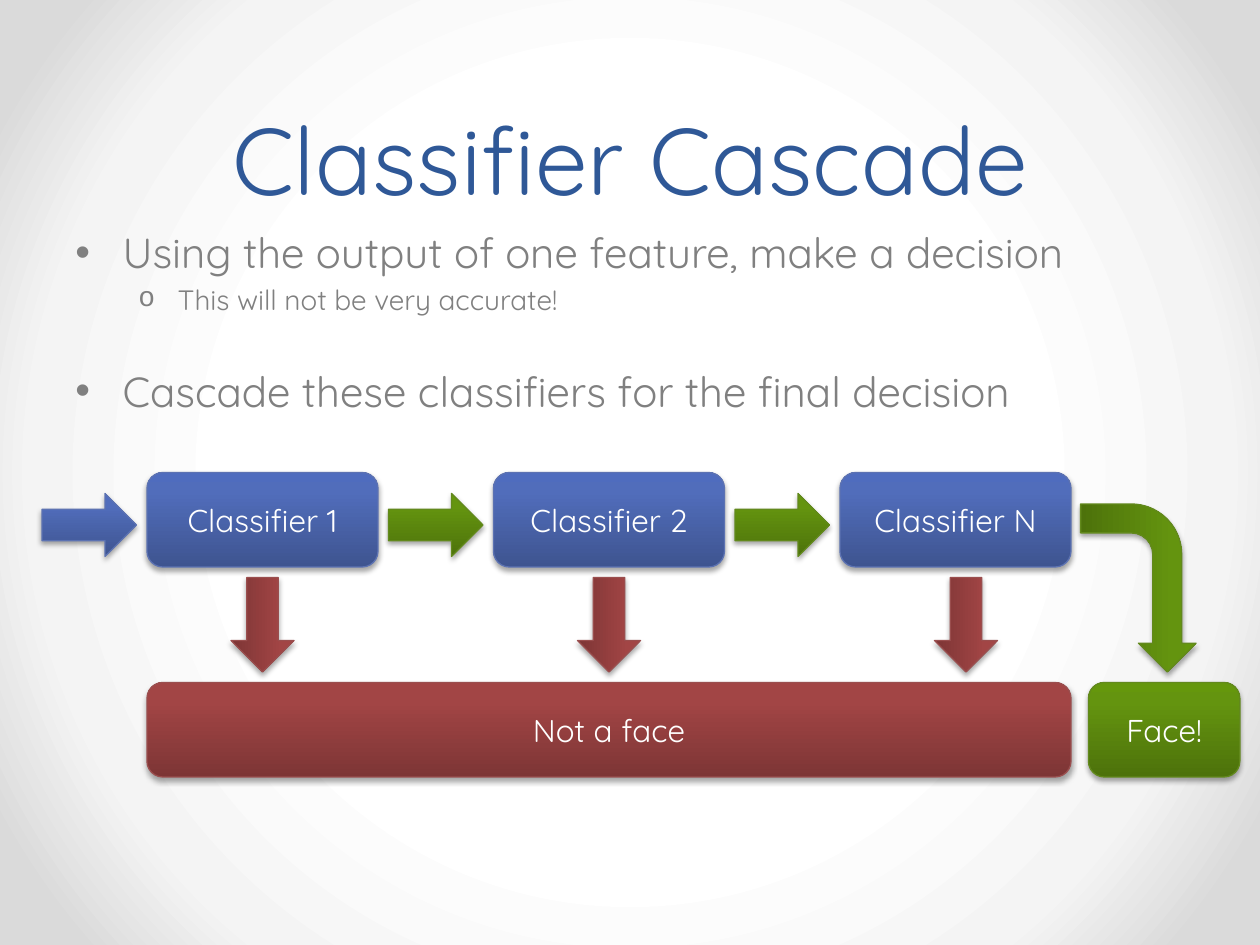
from dataclasses import dataclass

from lxml.etree import _Element, SubElement
from pptx import Presentation
from pptx.dml.color import RGBColor
from pptx.enum.shapes import MSO_SHAPE
from pptx.enum.text import MSO_ANCHOR, MSO_AUTO_SIZE, PP_ALIGN
from pptx.oxml import parse_xml
from pptx.oxml.ns import nsdecls, qn
from pptx.slide import Slide
from pptx.text.text import _Paragraph
from pptx.util import Pt

FONT = "Quicksand"
COLORS = {"title": "2F5897", "body": "808080", "label": "FFFFFF", "shadow": "000000"}
LINES = {"blue": "5C72B2", "green": "62891C", "red": "9A4E4E"}
GRADIENTS = {
    "blue": {0: "3E5490", 80: "516DBB", 100: "4F6CBE"},
    "green": {0: "4D720B", 80: "64940F", 100: "65970C"},
    "red": {0: "7D3535", 80: "A24545", 100: "A44343"},
    "background": {50: "FFFFFF", 76: "F4F4F4", 92: "DADADA"},
}
LINEAR = '<a:lin ang="16200000" scaled="0"/>'
CIRCULAR = '<a:path path="circle"><a:fillToRect l="50000" t="50000" r="50000" b="50000"/></a:path>'

STAGE_LEFT, STAGE_PITCH = 84, 198
STAGE_WIDTH, BOX_HEIGHT = 132, 54
STAGE_TOP, RESULT_TOP = 270, 390
ARROW_LENGTH, ARROW_THICKNESS = 54, 36


@dataclass
class Block:
    kind: MSO_SHAPE
    color: str
    left: float
    top: float
    width: float
    height: float
    label: str = ""
    rotation: float = 0


@dataclass
class Bullet:
    text: str
    symbol: str
    symbol_font: str
    size: float
    indent: float
    hanging: float
    space_before: float


BULLETS = [
    Bullet("Using the output of one feature, make a decision", "•", "Arial", 24, 27, 27, 4.8),
    Bullet("This will not be very accurate!", "o", "Courier New", 16, 58.5, 22.5, 3.2),
    Bullet("Cascade these classifiers for the final decision", "•", "Arial", 24, 27, 27, 28),
]


def gradient_fill(name: str, direction: str) -> _Element:
    stops = "".join(
        f'<a:gs pos="{position * 1000}"><a:srgbClr val="{color}"/></a:gs>'
        for position, color in GRADIENTS[name].items()
    )
    return parse_xml(
        f'<a:gradFill {nsdecls("a")} rotWithShape="1"><a:gsLst>{stops}</a:gsLst>{direction}</a:gradFill>'
    )


def soft_shadow() -> _Element:
    return parse_xml(
        f'<a:effectLst {nsdecls("a")}><a:outerShdw blurRad="{Pt(3.1)}" dist="{Pt(1.8)}" '
        f'dir="5400000" rotWithShape="0"><a:srgbClr val="{COLORS["shadow"]}">'
        '<a:alpha val="35000"/></a:srgbClr></a:outerShdw></a:effectLst>'
    )


def format_text(paragraph: _Paragraph, size: float, color: str) -> None:
    for run in paragraph.runs:
        run.font.name = FONT
        run.font.size = Pt(size)
        run.font.color.rgb = RGBColor.from_string(COLORS[color])


def draw_background(slide: Slide) -> None:
    slide.background.fill.solid()
    properties = slide.element.find(f".//{qn('p:bgPr')}")
    properties.replace(properties[0], gradient_fill("background", CIRCULAR))


def draw_title(slide: Slide, text: str) -> None:
    title = slide.shapes.title
    title.left, title.top, title.width, title.height = Pt(36), Pt(0), Pt(648), Pt(126)
    frame = title.text_frame
    frame.text = text
    frame.auto_size = MSO_AUTO_SIZE.NONE
    frame.vertical_anchor = MSO_ANCHOR.BOTTOM
    paragraph = frame.paragraphs[0]
    paragraph.alignment = PP_ALIGN.CENTER
    paragraph.line_spacing = Pt(58)
    format_text(paragraph, 54, "title")


def draw_bullets(slide: Slide, bullets: list[Bullet]) -> None:
    frame = slide.shapes.add_textbox(Pt(36), Pt(126), Pt(648), Pt(356.4)).text_frame
    frame.word_wrap = True
    frame.text = "\n".join(bullet.text for bullet in bullets)
    for paragraph, bullet in zip(frame.paragraphs, bullets):
        paragraph.space_before = Pt(bullet.space_before)
        format_text(paragraph, bullet.size, "body")
        properties = paragraph._p.get_or_add_pPr()
        properties.set("marL", str(Pt(bullet.indent)))
        properties.set("indent", str(-Pt(bullet.hanging)))
        SubElement(properties, qn("a:buFont")).set("typeface", bullet.symbol_font)
        SubElement(properties, qn("a:buChar")).set("char", bullet.symbol)


def draw_block(slide: Slide, block: Block) -> None:
    shape = slide.shapes.add_shape(
        block.kind, Pt(block.left), Pt(block.top), Pt(block.width), Pt(block.height)
    )
    shape.rotation = block.rotation
    shape.line.color.rgb = RGBColor.from_string(LINES[block.color])
    shape.line.width = Pt(0.75)
    properties = shape.element.spPr
    properties.find(qn("a:prstGeom")).addnext(gradient_fill(block.color, LINEAR))
    properties.append(soft_shadow())
    if block.label:
        frame = shape.text_frame
        frame.text = block.label
        frame.vertical_anchor = MSO_ANCHOR.MIDDLE
        frame.paragraphs[0].alignment = PP_ALIGN.CENTER
        format_text(frame.paragraphs[0], 18, "label")


def box(label: str, color: str, left: float, top: float, width: float) -> Block:
    return Block(MSO_SHAPE.ROUNDED_RECTANGLE, color, left, top, width, BOX_HEIGHT, label)


def arrow(color: str, left: float, top: float, rotation: float = 0) -> Block:
    return Block(
        MSO_SHAPE.RIGHT_ARROW, color, left, top, ARROW_LENGTH, ARROW_THICKNESS, rotation=rotation
    )


def cascade_blocks() -> list[Block]:
    blocks = []
    stages = [("Classifier 1", "blue", 123), ("Classifier 2", "green", 321), ("Classifier N", "green", 525)]
    for index, (label, input_color, reject_left) in enumerate(stages):
        left = STAGE_LEFT + index * STAGE_PITCH
        blocks += [
            box(label, "blue", left, STAGE_TOP, STAGE_WIDTH),
            arrow(input_color, left - 60, STAGE_TOP + 12),
            arrow("red", reject_left, 339, rotation=90),
        ]
    return blocks + [
        box("Not a face", "red", STAGE_LEFT, RESULT_TOP, 2 * STAGE_PITCH + STAGE_WIDTH),
        Block(MSO_SHAPE.BENT_ARROW, "green", 602.5, 303, 96, 66, rotation=90),
        box("Face!", "green", 622, RESULT_TOP, 86.5),
    ]


def main() -> None:
    presentation = Presentation()
    presentation.slide_width, presentation.slide_height = Pt(720), Pt(540)
    slide = presentation.slides.add_slide(presentation.slide_layouts.get_by_name("Title Only"))
    draw_background(slide)
    draw_title(slide, "Classifier Cascade")
    draw_bullets(slide, BULLETS)
    for block in cascade_blocks():
        draw_block(slide, block)
    presentation.save("out.pptx")


if __name__ == "__main__":
    main()
